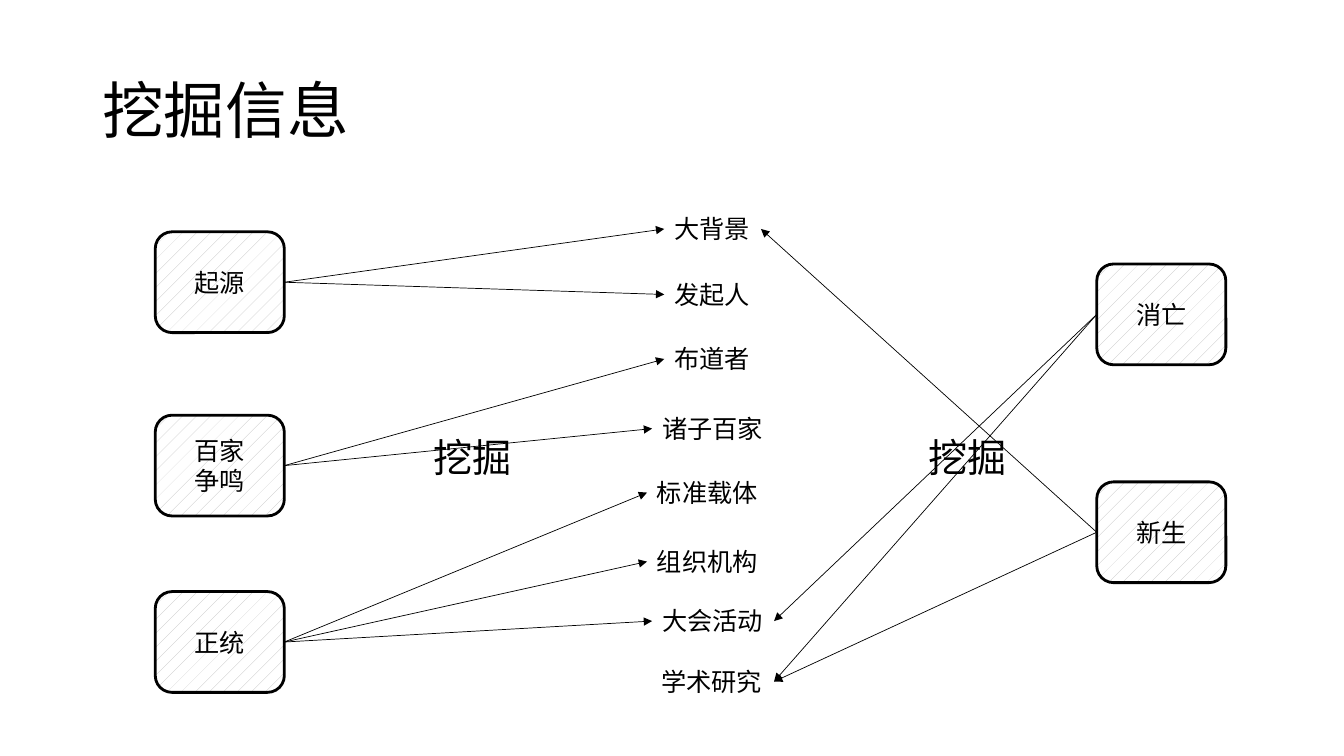
"""Build a slide that maps the stages of a movement to the topics to dig into."""
from lxml import etree
from pptx import Presentation
from pptx.dml.color import RGBColor
from pptx.enum.dml import MSO_PATTERN
from pptx.enum.shapes import MSO_CONNECTOR, MSO_SHAPE
from pptx.enum.text import MSO_ANCHOR, MSO_AUTO_SIZE, PP_ALIGN
from pptx.oxml.ns import qn
from pptx.util import Pt

ROUNDED = MSO_SHAPE.ROUNDED_RECTANGLE
STRAIGHT = MSO_CONNECTOR.STRAIGHT
DOTTED = MSO_PATTERN.PERCENT_5
MIDDLE = MSO_ANCHOR.MIDDLE
GROW = MSO_AUTO_SIZE.SHAPE_TO_FIT_TEXT
CENTER = PP_ALIGN.CENTER
LEFT_SIDE, RIGHT_SIDE = 1, 3

BLACK, WHITE, GRAY = "000000", "FFFFFF", "BFBFBF"
STAGE_LEFT, STAGE_RIGHT = 110.9, 783.4
STAGES = [
    ("起源", STAGE_LEFT, 165.6),
    ("百家\n争鸣", STAGE_LEFT, 296.6),
    ("正统", STAGE_LEFT, 422.6),
    ("消亡", STAGE_RIGHT, 188.6),
    ("新生", STAGE_RIGHT, 344.2),
]
TOPICS = [
    ("大背景", 474.5, 149, 69.1),
    ("发起人", 474.5, 195.8, 69.1),
    ("布道者", 474.5, 241.9, 69.1),
    ("诸子百家", 465.8, 291.6, 87.1),
    ("标准载体", 462.2, 337.3, 93.6),
    ("组织机构", 462.2, 386.6, 94.3),
    ("大会活动", 465.8, 429.1, 87.1),
    ("学术研究", 465.1, 472.3, 87.8),
]
LINKS = {
    "起源": ["大背景", "发起人"],
    "百家\n争鸣": ["布道者", "诸子百家"],
    "正统": ["标准载体", "组织机构", "大会活动"],
    "消亡": ["大会活动", "学术研究"],
    "新生": ["大背景", "学术研究"],
}


def color(value):
    return RGBColor.from_string(value)


def write(shape, text, size):
    shape.text_frame.text = text
    for paragraph in shape.text_frame.paragraphs:
        font = paragraph.runs[0].font
        font.name = "Calibri"
        font.size = Pt(size)
        font.color.rgb = color(BLACK)


presentation = Presentation()
presentation.slide_width = Pt(960)
presentation.slide_height = Pt(540)
slide = presentation.slides.add_slide(presentation.slide_layouts[6])
shapes = slide.shapes

title = shapes.add_textbox(Pt(66), Pt(28.8), Pt(828), Pt(104.4))
write(title, "挖掘信息", 44)
title.text_frame.word_wrap = True
title.text_frame.vertical_anchor = MIDDLE
title.text_frame.paragraphs[0].line_spacing = 0.9

stage_boxes = {}
for text, left, top in STAGES:
    box = shapes.add_shape(ROUNDED, Pt(left), Pt(top), Pt(92.2), Pt(72))
    box.shadow.inherit = False
    box.fill.patterned()
    box.fill.pattern = DOTTED
    box.fill.fore_color.rgb = color(GRAY)
    box.fill.back_color.rgb = color(WHITE)
    box.line.color.rgb = color(BLACK)
    box.line.width = Pt(2)
    write(box, text, 18)
    box.text_frame.vertical_anchor = MIDDLE
    for paragraph in box.text_frame.paragraphs:
        paragraph.alignment = CENTER
    stage_boxes[text] = box

topic_boxes = {}
for text, left, top, width in TOPICS:
    box = shapes.add_textbox(Pt(left), Pt(top), Pt(width), Pt(29.1))
    write(box, text, 18)
    box.text_frame.word_wrap = True
    box.text_frame.auto_size = GROW
    topic_boxes[text] = box

for stage, topics in LINKS.items():
    stage_box = stage_boxes[stage]
    if stage_box.left == Pt(STAGE_LEFT):
        stage_side, topic_side = RIGHT_SIDE, LEFT_SIDE
    else:
        stage_side, topic_side = LEFT_SIDE, RIGHT_SIDE
    for topic in topics:
        arrow = shapes.add_connector(STRAIGHT, 0, 0, 0, 0)
        arrow.begin_connect(stage_box, stage_side)
        arrow.end_connect(topic_boxes[topic], topic_side)
        arrow.line.color.rgb = color(BLACK)
        arrow.line.width = Pt(0.5)
        properties = arrow.line.color and arrow.element.spPr
        outline = properties.find(qn("a:ln"))
        etree.SubElement(outline, qn("a:tailEnd"), type="triangle")
        etree.SubElement(properties, qn("a:effectLst"))

for left in (302.4, 655.9):
    label = shapes.add_textbox(Pt(left), Pt(306), Pt(71.3), Pt(41))
    write(label, "挖掘", 28)
    label.text_frame.word_wrap = False
    label.text_frame.auto_size = GROW

presentation.save("out.pptx")
